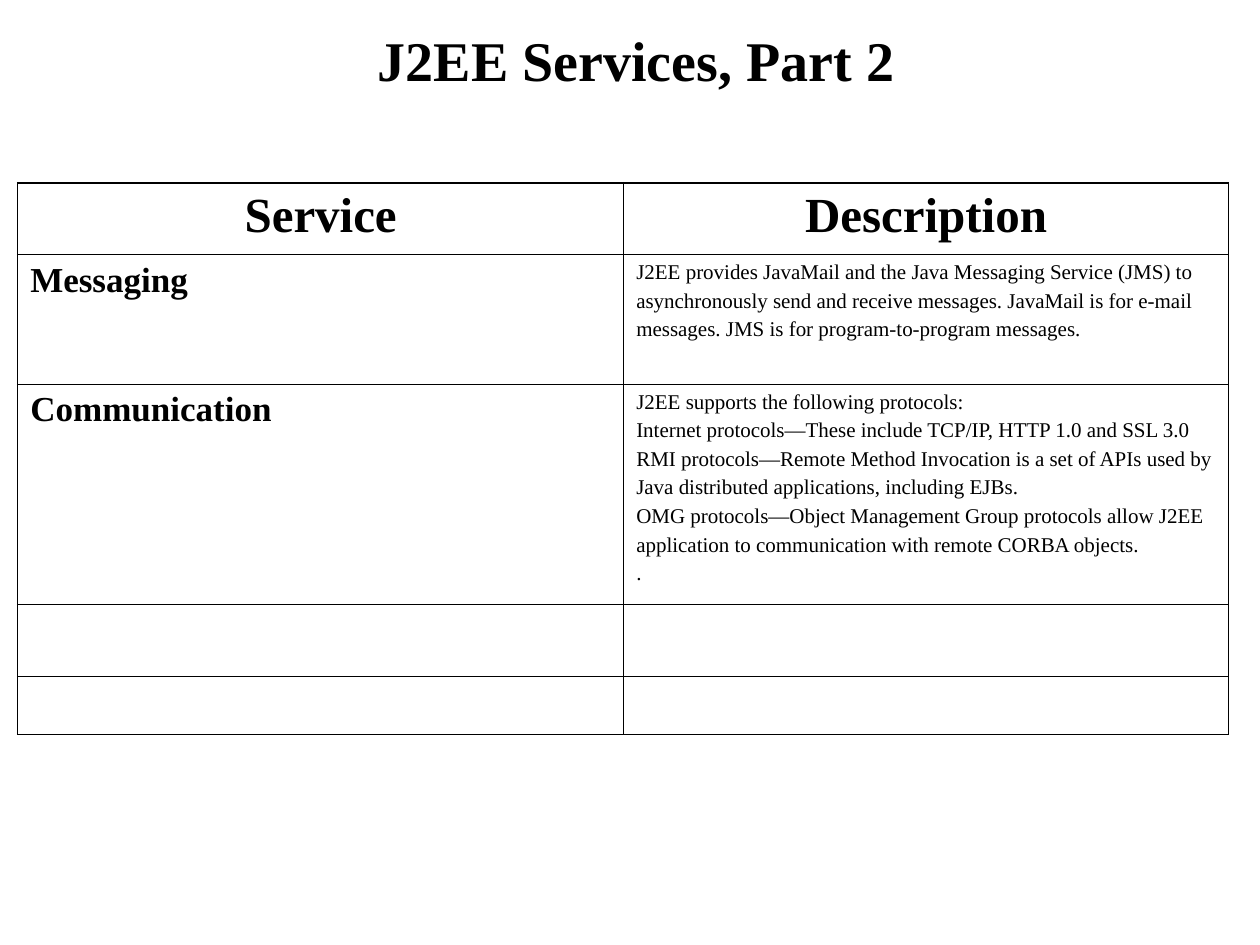
from lxml.etree import SubElement
from pptx import Presentation
from pptx.dml.color import RGBColor
from pptx.enum.text import MSO_ANCHOR, PP_ALIGN
from pptx.oxml.ns import qn
from pptx.util import Inches, Pt

BLACK = RGBColor(0, 0, 0)
OUTER_BORDER = Pt(1.08)
INNER_BORDER = Pt(0.45)

TITLE = {"size": Pt(32), "bold": True}
HEADER = {"size": Pt(28), "bold": True}
SERVICE = {"size": Pt(20), "bold": True}
DESCRIPTION = {"size": Pt(12), "bold": False}


def write_lines(text_frame, lines, font_format, alignment, space_before):
    for index, line in enumerate(lines):
        paragraph = text_frame.paragraphs[0] if index == 0 else text_frame.add_paragraph()
        paragraph.alignment = alignment
        paragraph.space_before = Pt(space_before)
        run = paragraph.add_run()
        run.text = line
        run.font.name = "Times New Roman"
        run.font.color.rgb = BLACK
        for name, value in font_format.items():
            setattr(run.font, name, value)


def add_border(cell, side, width):
    line = SubElement(cell._tc.get_or_add_tcPr(), qn(f"a:ln{side}"), w=str(width))
    fill = SubElement(line, qn("a:solidFill"))
    SubElement(fill, qn("a:srgbClr"), val=str(BLACK))


presentation = Presentation()
presentation.slide_width = Inches(10)
presentation.slide_height = Inches(7.5)
slide = presentation.slides.add_slide(presentation.slide_layouts[6])

title = slide.shapes.add_textbox(Inches(0.8), Inches(0.11), Inches(8.5), Inches(0.72))
title.text_frame.word_wrap = True
title.text_frame.vertical_anchor = MSO_ANCHOR.MIDDLE
write_lines(title.text_frame, ["J2EE Services, Part 2"], TITLE, PP_ALIGN.CENTER, 0)

column_widths = [4.81, 4.8]
row_heights = [0.57, 1.03, 1.75, 0.57, 0.46]
services = [
    (["Service"], ["Description"]),
    (["Messaging"], [
        "J2EE provides JavaMail and the Java Messaging Service (JMS) to",
        "asynchronously send and receive messages. JavaMail is for e-mail",
        "messages. JMS is for program-to-program messages.",
    ]),
    (["Communication"], [
        "J2EE supports the following protocols:",
        "Internet protocols—These include TCP/IP, HTTP 1.0 and SSL 3.0",
        "RMI protocols—Remote Method Invocation is a set of APIs used by",
        "Java distributed applications, including EJBs.",
        "OMG protocols—Object Management Group protocols allow J2EE",
        "application to communication with remote CORBA objects.",
        ".",
    ]),
    ([], []),
    ([], []),
]

table = slide.shapes.add_table(
    len(row_heights), len(column_widths), Inches(0.14), Inches(1.45),
    Inches(sum(column_widths)), Inches(sum(row_heights)),
).table
table.first_row = False
table.horz_banding = False
for column, width in zip(table.columns, column_widths):
    column.width = Inches(width)
for row, height in zip(table.rows, row_heights):
    row.height = Inches(height)

body_styles = [(SERVICE, PP_ALIGN.LEFT, 5), (DESCRIPTION, PP_ALIGN.LEFT, 3)]
last_row = len(row_heights) - 1
last_column = len(column_widths) - 1
for row_index, texts in enumerate(services):
    for column_index, lines in enumerate(texts):
        cell = table.cell(row_index, column_index)
        style = (HEADER, PP_ALIGN.CENTER, 7) if row_index == 0 else body_styles[column_index]
        write_lines(cell.text_frame, lines, *style)
        outer_sides = {
            "L": column_index == 0,
            "R": column_index == last_column,
            "T": row_index == 0,
            "B": row_index == last_row,
        }
        for side, is_outer in outer_sides.items():
            add_border(cell, side, OUTER_BORDER if is_outer else INNER_BORDER)
        cell.fill.background()

presentation.save("out.pptx")
